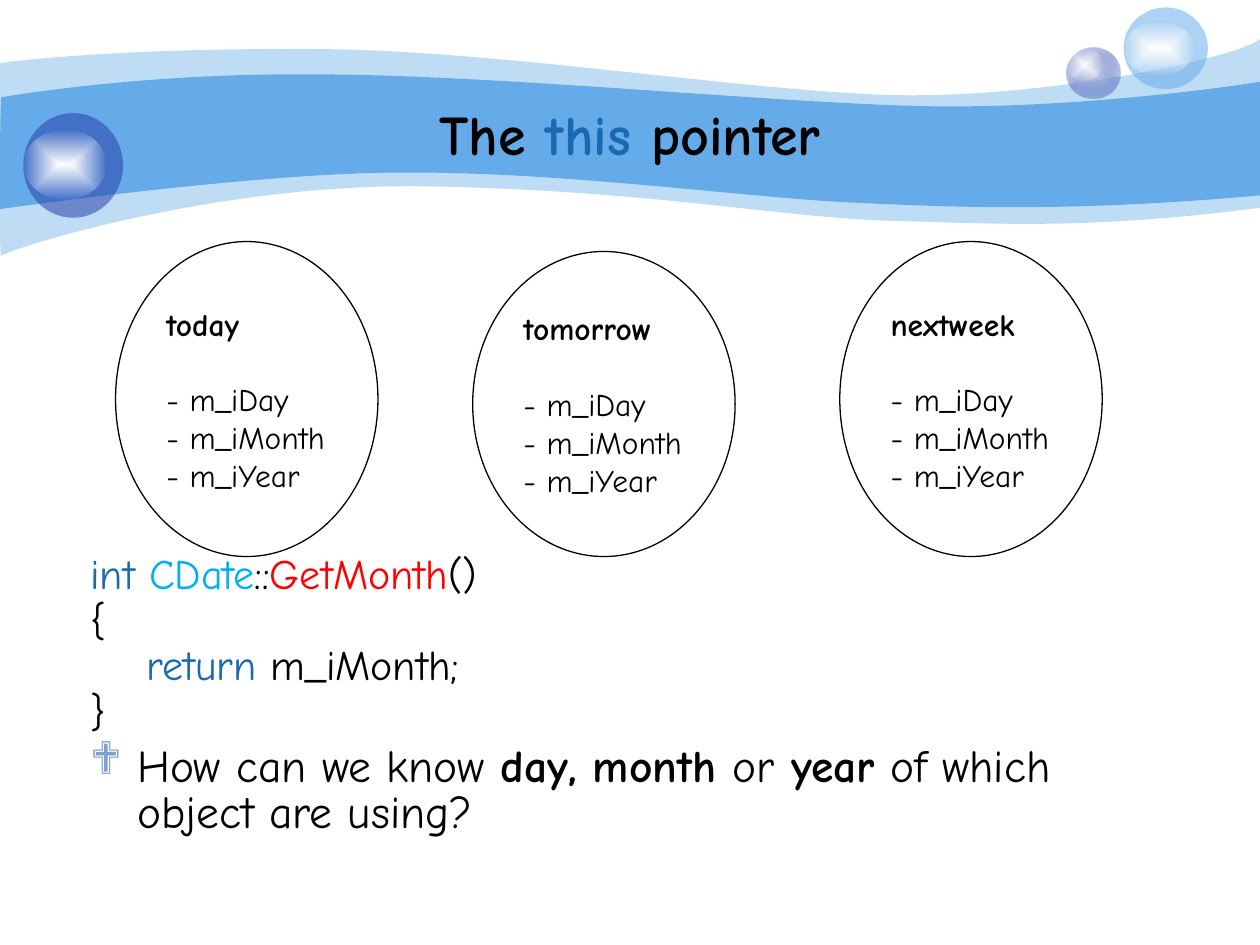
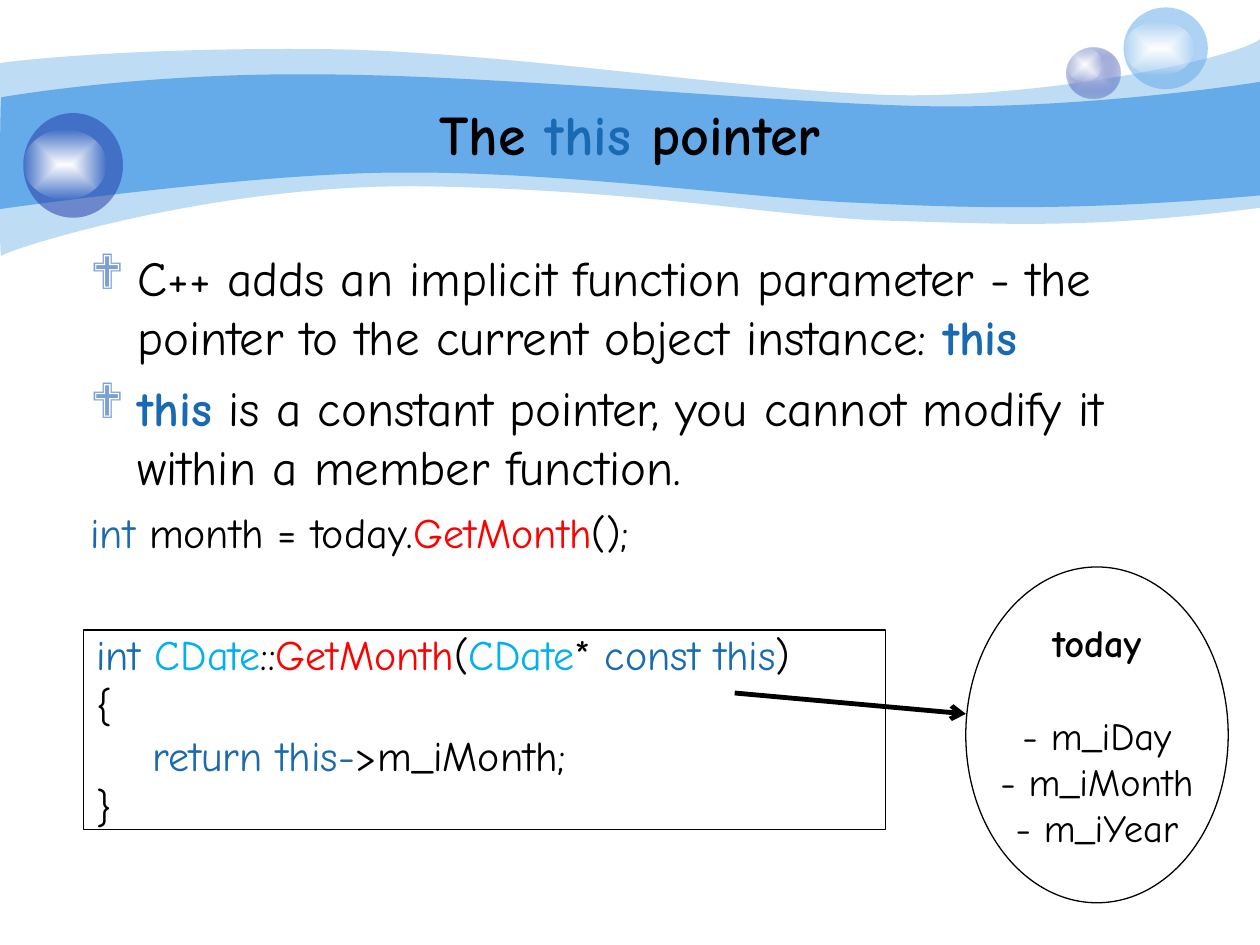
"""Builds two slides that explain the this pointer of C++."""
from dataclasses import dataclass

from lxml import etree
from pptx import Presentation, util as u
from pptx.dml.color import RGBColor
from pptx.enum import shapes, text
from pptx.oxml.ns import qn


@dataclass(frozen=True)
class Theme:
    font: str = "Comic Neue"
    bullet_font: str = "Wingdings"
    black: str = "000000"
    white: str = "FFFFFF"
    keyword: str = "1A6AB2"
    class_name: str = "00B0F0"
    call: str = "FF0000"
    bullet: str = "7DA0D3"
    sky: str = "65AAE9"
    navy: str = "233DA9"
    mist: str = "C7CEE9"
    title_size: int = 32
    body_size: int = 28
    question_size: int = 26
    code_size: int = 24
    large_label: int = 22
    label: int = 18
    line_height: float = 1.2
    outline: float = 0.75
    arrow: float = 2.75


THEME = Theme()
STYLES = {
    "plain": (THEME.black, False),
    "bold": (THEME.black, True),
    "keyword": (THEME.keyword, False),
    "bold keyword": (THEME.keyword, True),
    "class": (THEME.class_name, False),
    "call": (THEME.call, False),
}

TITLE = [("The ", "bold"), ("this", "bold keyword"), (" pointer", "bold")]
MEMBERS = ["- m_iDay", "- m_iMonth", "- m_iYear"]
CODE_INDENT = 1.13
BULLET_INDENT = 0.95

GET_MONTH = [
    {"spans": [("int ", "keyword"), ("CDate", "class"), ("::", "plain"),
               ("GetMonth", "call"), ("()", "plain")]},
    {"spans": [("{", "plain")], "before": 6},
    {"spans": [("return", "keyword"), (" m_iMonth;", "plain")],
     "before": 6, "indent": CODE_INDENT},
    {"spans": [("}", "plain")], "before": 6},
]
QUESTION = {
    "spans": [("How can we know ", "plain"), ("day, month ", "bold"), ("or", "plain"),
              (" year", "bold"), (" of which object are using?", "plain")],
    "size": THEME.question_size, "before": 6.5, "spacing": 0.85, "bullet": "❖",
}
FACTS = [
    {"spans": [("C++ adds an implicit function parameter - the pointer to the "
                "current object instance: ", "plain"), ("this", "bold keyword")],
     "bullet": "❖"},
    {"spans": [("this", "bold keyword"),
               (" is a constant pointer, you cannot modify it within a member function.",
                "plain")],
     "bullet": "❖", "before": 7},
    {"spans": [("int", "keyword"), (" month = today.", "plain"),
               ("GetMonth", "call"), ("();", "plain")],
     "size": THEME.code_size, "before": 6},
]
GET_MONTH_WITH_THIS = [
    {"spans": [("int ", "keyword"), ("CDate", "class"), ("::", "plain"),
               ("GetMonth", "call"), ("(", "plain"), ("CDate", "class"),
               ("* ", "plain"), ("const this", "keyword"), (")", "plain")]},
    {"spans": [("{", "plain")]},
    {"spans": [("return this-", "keyword"), (">m_iMonth;", "plain")],
     "indent": CODE_INDENT},
    {"spans": [("}", "plain")]},
]

BODY_LEFT, BODY_TOP = 1.57, 4.87
OBJECT_WIDTH = 5.29
OBJECTS_BOTTOM = 11.22
OBJECTS = [("today", 2.33, 6.35), ("tomorrow", 9.53, 6.15), ("nextweek", 16.93, 6.35)]

OUTER_WAVE = [
    [(0, 1.27)],
    [(0.61, 1.19), (2.72, 0.97), (6.27, 0.99)],
    [(9.8, 0.99), (14.61, 1.78), (17.75, 1.91)],
    [(20.88, 2.03), (24.89, 1.19), (25.4, 0.79)],
    [(25.4, 4.19)],
    [(21.82, 4.65), (19.99, 4.5), (17.91, 4.45)],
    [(15.8, 4.39), (13.08, 3.84), (8.71, 3.76)],
    [(4.37, 3.66), (0.1, 5.05), (0.03, 5.16)],
    [(-0.03, 5.28), (0, 1.9), (0, 1.27)],
]
INNER_WAVE = [
    [(0.03, 1.96)],
    [(0.05, 1.96), (2.79, 1.47), (6.3, 1.5)],
    [(9.8, 1.5), (15.11, 2.03), (18.24, 2.13)],
    [(21.36, 2.24), (24.79, 1.75), (25.4, 1.65)],
    [(25.4, 3.94)],
    [(21.67, 4.27), (19.43, 4.19), (17.32, 4.09)],
    [(15.21, 4.01), (11.35, 3.45), (8.05, 3.48)],
    [(5.16, 3.48), (-0.05, 4.22), (-0.03, 4.22)],
    [(0, 4.22), (0, 1.96), (0.03, 1.96)],
]
WAVES = [(OUTER_WAVE, 41), (INNER_WAVE, 100)]
SHINE = [(THEME.white, 100), (THEME.white, 0)]
BUBBLES = [
    ((21.51, 0.96, 1.07, 1.02), [(THEME.mist, 100), (THEME.navy, 31)]),
    ((21.51, 0.96, 0.71, 0.69), SHINE),
    ((22.65, 0.15, 1.7, 1.65), [(THEME.sky, 53)]),
    ((22.65, 0.43, 1.42, 1.09), SHINE),
    ((0.47, 2.28, 2.01, 2.11), [(THEME.navy, 53)]),
    ((0.47, 2.61, 1.68, 1.42), SHINE),
]


def rgb(code):
    return RGBColor.from_string(code)


def place(*lengths):
    return [u.Cm(length) for length in lengths]


def paint(shape, stops):
    """Fill a shape with one colour, or with a gradient from its centre."""
    shape.shadow.inherit = False
    shape.line.fill.background()
    if len(stops) == 1:
        shape.fill.solid()
        shape.fill.fore_color.rgb = rgb(stops[0][0])
    else:
        shape.fill.gradient()
        for stop, (colour, _) in zip(shape.fill.gradient_stops, stops):
            stop.color.rgb = rgb(colour)
        gradient = shape.element.spPr.find(qn("a:gradFill"))
        for linear in gradient.findall(qn("a:lin")):
            gradient.remove(linear)
        centre = etree.SubElement(gradient, qn("a:path"), {"path": "rect"})
        etree.SubElement(centre, qn("a:fillToRect"), dict.fromkeys("ltrb", "50000"))
    for colour, (_, opacity) in zip(shape.element.spPr.iter(qn("a:srgbClr")), stops):
        if opacity < 100:
            etree.SubElement(colour, qn("a:alpha"), val=str(opacity * 1000))


def bend(wave, segments):
    """Turn each run of three lines through control points into one curve."""
    lines = iter(list(wave.element.spPr.iter(qn("a:lnTo"))))
    for segment in segments[1:]:
        first, *others = [next(lines) for _ in segment]
        if others:
            curve = etree.Element(qn("a:cubicBezTo"))
            first.addprevious(curve)
            for line in (first, *others):
                curve.append(line[0])
                line.getparent().remove(line)


def add_wave(slide, segments, opacity):
    corners = [place(*point) for segment in segments for point in segment]
    builder = slide.shapes.build_freeform(*corners[0])
    builder.add_line_segments(corners[1:], close=True)
    wave = builder.convert_to_shape()
    bend(wave, segments)
    paint(wave, [(THEME.sky, opacity)])
    return wave


def add_bubble(slide, area, stops):
    bubble = slide.shapes.add_shape(shapes.MSO_SHAPE.OVAL, *place(*area))
    paint(bubble, stops)
    return bubble


def decorate(layout, slide):
    """Draw the waves and bubbles once and hand them to the layout."""
    for holder in list(layout.placeholders):
        if holder.placeholder_format.idx >= 10:
            layout.shapes.element.remove(holder.element)
    parts = [add_wave(slide, *wave) for wave in WAVES]
    parts += [add_bubble(slide, *bubble) for bubble in BUBBLES]
    for part in parts:
        layout.shapes.element.append(part.element)


def write(frame, rows, size, align=text.PP_ALIGN.LEFT, spacing=None):
    """Write rows of styled spans as paragraphs."""
    for number, row in enumerate(rows):
        para = frame.paragraphs[0] if number == 0 else frame.add_paragraph()
        para.alignment = align
        para.space_before = u.Pt(row.get("before", 0))
        if row.get("spacing", spacing):
            para.line_spacing = row.get("spacing", spacing)
        for content, style in row["spans"]:
            span = para.add_run()
            span.text = content
            colour, span.font.bold = STYLES[style]
            span.font.color.rgb = rgb(colour)
            span.font.name = THEME.font
            span.font.size = u.Pt(row.get("size", size))
        properties = para._p.get_or_add_pPr()
        if "indent" in row:
            properties.set("marL", str(u.Cm(row["indent"])))
        if "bullet" in row:
            properties.set("marL", str(u.Cm(BULLET_INDENT)))
            properties.set("indent", str(-u.Cm(BULLET_INDENT)))
            tint = etree.SubElement(properties, qn("a:buClr"))
            etree.SubElement(tint, qn("a:srgbClr"), val=THEME.bullet)
            etree.SubElement(properties, qn("a:buFont"), typeface=THEME.bullet_font)
            etree.SubElement(properties, qn("a:buChar"), char=row["bullet"])


def add_page(deck, layout):
    page = deck.slides.add_slide(layout)
    title = page.shapes.title
    title.left, title.top, title.width, title.height = place(0, 1.9, 25.4, 1.57)
    title.text_frame.auto_size = text.MSO_AUTO_SIZE.NONE
    title.text_frame.vertical_anchor = text.MSO_ANCHOR.MIDDLE
    write(title.text_frame, [{"spans": TITLE}], THEME.title_size, text.PP_ALIGN.CENTER)
    return page


def add_body(page, width, height, rows, size, spacing=None, margin_top=0.13):
    body = page.shapes.add_textbox(*place(BODY_LEFT, BODY_TOP, width, height))
    body.text_frame.word_wrap = True
    body.text_frame.margin_top = u.Cm(margin_top)
    write(body.text_frame, rows, size, spacing=spacing)


def add_outlined(page, kind, area, rows, size, align=text.PP_ALIGN.LEFT):
    box = page.shapes.add_shape(kind, *place(*area))
    box.shadow.inherit = False
    box.fill.background()
    box.line.color.rgb = rgb(THEME.black)
    box.line.width = u.Pt(THEME.outline)
    box.text_frame.word_wrap = False
    box.text_frame.vertical_anchor = text.MSO_ANCHOR.MIDDLE
    write(box.text_frame, rows, size, align)


def add_object(page, name, area, size, align=text.PP_ALIGN.LEFT):
    """Draw an object as an oval with its name above its members."""
    rows = [{"spans": [(name, "bold")]}]
    rows += [{"spans": [(member, "plain")]} for member in MEMBERS]
    rows[1]["before"] = round(size * THEME.line_height, 1)
    add_outlined(page, shapes.MSO_SHAPE.OVAL, area, rows, size, align)


def add_arrow(page, start, end):
    arrow = page.shapes.add_connector(
        shapes.MSO_CONNECTOR.STRAIGHT, *place(*start), *place(*end))
    arrow.line.color.rgb = rgb(THEME.black)
    arrow.line.width = u.Pt(THEME.arrow)
    etree.SubElement(arrow.line._get_or_add_ln(), qn("a:tailEnd"), type="arrow")
    etree.SubElement(arrow.element.spPr, qn("a:effectLst"))


def main():
    deck = Presentation()
    deck.slide_width, deck.slide_height = place(25.4, 19.05)
    layout = deck.slide_layouts[5]

    question_page = add_page(deck, layout)
    decorate(layout, question_page)
    add_body(question_page, 22.23, 12.7, GET_MONTH + [QUESTION],
             THEME.code_size, spacing=0.7, margin_top=6.44)
    for name, left, height in OBJECTS:
        area = (left, OBJECTS_BOTTOM - height, OBJECT_WIDTH, height)
        add_object(question_page, name, area, THEME.label)

    answer_page = add_page(deck, layout)
    add_body(answer_page, 22.99, 11.86, FACTS, THEME.body_size)
    add_outlined(answer_page, shapes.MSO_SHAPE.RECTANGLE, (1.69, 12.7, 16.16, 4.02),
                 GET_MONTH_WITH_THIS, THEME.code_size)
    add_object(answer_page, "today", (19.47, 11.43, OBJECT_WIDTH, 6.77),
               THEME.large_label, text.PP_ALIGN.CENTER)
    add_arrow(answer_page, (14.81, 13.97), (19.47, 14.39))

    deck.save("out.pptx")


if __name__ == "__main__":
    main()
